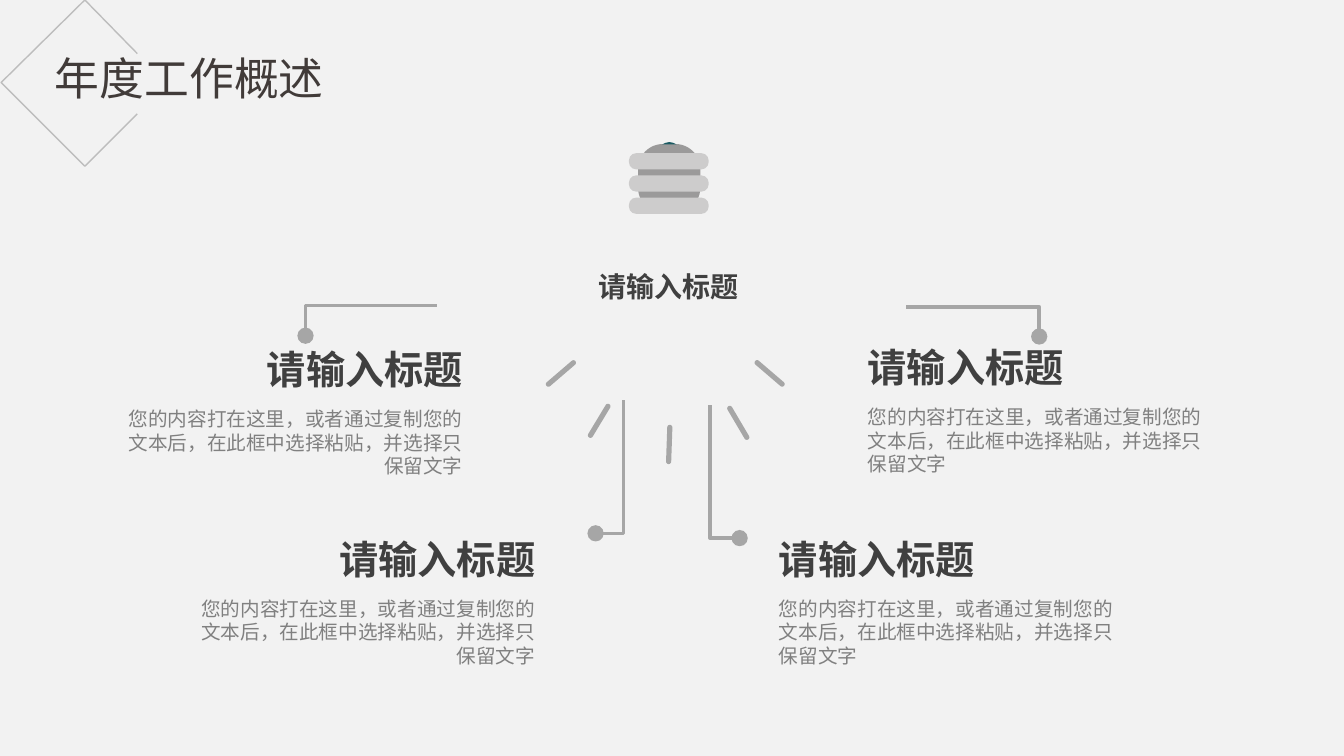
import math

from lxml import etree
from pptx import Presentation
from pptx.dml.color import RGBColor
from pptx.enum.shapes import MSO_SHAPE
from pptx.enum.text import MSO_ANCHOR, MSO_AUTO_SIZE, PP_ALIGN
from pptx.oxml.ns import qn
from pptx.util import Cm, Pt

ROUNDED = MSO_SHAPE.ROUNDED_RECTANGLE
OVAL = MSO_SHAPE.OVAL
LEFT, CENTER, RIGHT = PP_ALIGN.LEFT, PP_ALIGN.CENTER, PP_ALIGN.RIGHT
TOP = MSO_ANCHOR.TOP
FIXED = MSO_AUTO_SIZE.NONE

TITLE_ONLY = 5
HEADING_FONT = "Noto Sans CJK SC"
BODY_FONT = "Calibri"
PAPER, DARK, GRAY, ACCENT = "F2F2F2", "404040", "808080", "A6A6A6"
HEADING = "请输入标题"
BODY = "您的内容打在这里，或者通过复制您的文本后，在此框中选择粘贴，并选择只保留文字"

# Box left and top, alignment, then dot, corner and end relative to the box
CALLOUTS = [
    (2.51, 8.71, RIGHT, [(5.19, -0.25), (5.19, -1.01), (8.51, -1.01)]),
    (21.62, 8.66, LEFT, [(4.57, -0.18), (4.57, -0.93), (1.21, -0.93)]),
    (4.34, 13.49, RIGHT, [(10.67, -0.05), (11.37, -0.05), (11.37, -3.41)]),
    (19.38, 13.49, LEFT, [(-0.74, 0.07), (-1.49, 0.07), (-1.49, -3.28)]),
]
# Start and end of each ray, relative to the box of the rays
RAYS = [
    (4.57, 1.15, 5.00, 1.88),
    (1.50, 1.10, 1.06, 1.83),
    (0.63, 0.00, 0.00, 0.54),
    (5.26, 0.00, 5.89, 0.54),
    (3.06, 1.63, 3.03, 2.49),
]


def color(hex_text):
    return RGBColor.from_string(hex_text)


def write_text(box, text, size, font=HEADING_FONT, fill=DARK, bold=False,
               align=LEFT, wrap=True, spacing=None):
    frame = box.text_frame
    frame.word_wrap = wrap
    frame.auto_size = FIXED
    frame.vertical_anchor = TOP
    frame.margin_left = frame.margin_right = Cm(0.25)
    frame.margin_top = frame.margin_bottom = Cm(0.13)
    para = frame.paragraphs[0]
    para.alignment = align
    para.line_spacing = spacing
    span = para.add_run()
    span.text = text
    span.font.name = font
    span.font.size = Pt(size)
    span.font.bold = bold
    span.font.color.rgb = color(fill)
    east_asian = etree.Element(qn("a:ea"), typeface=font)
    span.font._element.find(qn("a:latin")).addnext(east_asian)


def add_text(page, left, top, width, height, text, size, **formats):
    box = page.shapes.add_textbox(Cm(left), Cm(top), Cm(width), Cm(height))
    write_text(box, text, size, **formats)


def add_solid(page, kind, left, top, width, height, fill, corner=None):
    shape = page.shapes.add_shape(kind, Cm(left), Cm(top), Cm(width), Cm(height))
    shape.shadow.inherit = False
    shape.fill.solid()
    shape.fill.fore_color.rgb = color(fill)
    shape.line.fill.background()
    if corner is not None:
        shape.adjustments[0] = corner
    return shape


def add_outline(page, left, top, points, close=False):
    """Freeform through points given relative to left and top."""
    places = [(Cm(left + x), Cm(top + y)) for x, y in points]
    builder = page.shapes.build_freeform(*places[0])
    builder.add_line_segments(places[1:], close=close)
    shape = builder.convert_to_shape()
    shape.shadow.inherit = False
    return shape


def add_polyline(page, left, top, points, stroke, width):
    shape = add_outline(page, left, top, points)
    shape.fill.background()
    shape.line.color.rgb = color(stroke)
    shape.line.width = Pt(width)
    return shape


def add_jar(page, left, top):
    add_solid(page, ROUNDED, left + 0.23, top + 0.05, 1.57, 1.73, "9B9A9A", 0.4)
    for row in range(3):
        add_solid(page, ROUNDED, left, top + 0.28 + 0.56 * row, 2.01, 0.41,
                  "CDCCCC", 0.45)
    tip = add_outline(page, left + 0.84, top,
                      [(0, 0.06), (0.08, 0.02), (0.18, 0), (0.28, 0.02), (0.36, 0.06)],
                      close=True)
    tip.fill.solid()
    tip.fill.fore_color.rgb = color("1A5A62")
    tip.line.fill.background()


def add_rays(page, left, top, thickness=0.13):
    for x1, y1, x2, y2 in RAYS:
        length = math.hypot(x2 - x1, y2 - y1) + thickness
        ray = add_solid(page, ROUNDED,
                        left + (x1 + x2 - length) / 2,
                        top + (y1 + y2 - thickness) / 2,
                        length, thickness, ACCENT, 0.5)
        ray.rotation = math.degrees(math.atan2(y2 - y1, x2 - x1))


def add_callout(page, left, top, align, elbow, dot=0.41):
    """Heading and body text with an elbow line that starts at a dot."""
    add_polyline(page, left, top, elbow, ACCENT, 2.6)
    dot_x, dot_y = elbow[0]
    add_solid(page, OVAL, left + dot_x - dot / 2, top + dot_y - dot / 2,
              dot, dot, ACCENT)
    body_width, heading_width = 9.4, 5.51
    indent = body_width - heading_width if align == RIGHT else 0
    add_text(page, left + indent, top, heading_width, 1.45, HEADING, 28,
             bold=True, align=align, wrap=False, spacing=0.9)
    add_text(page, left, top + 1.42, body_width, 2.06, BODY, 14,
             font=BODY_FONT, fill=GRAY, align=align)


def add_title(page, left, top):
    title = page.shapes.title
    title.left, title.top = Cm(left), Cm(top)
    title.width, title.height = Cm(7.67), Cm(1.63)
    write_text(title, "年度工作概述", 32, fill="413B39", align=CENTER, spacing=0.9)


def add_diamond(page, left, top):
    diamond = add_polyline(
        page, left, top,
        [(3.43, 1.35), (2.11, 0), (0, 2.08), (2.11, 4.19), (3.43, 2.87)], GRAY, 1)
    stroke = diamond.line.fill._xPr.find(qn("a:solidFill"))[0]
    etree.SubElement(stroke, qn("a:alpha"), val="45000")


def main():
    deck = Presentation()
    deck.slide_width, deck.slide_height = Cm(33.87), Cm(19.05)
    page = deck.slides.add_slide(deck.slide_layouts[TITLE_ONLY])
    page.background.fill.solid()
    page.background.fill.fore_color.rgb = color(PAPER)
    add_title(page, 0.94, 1.3)
    add_diamond(page, 0.03, 0)
    add_jar(page, 15.85, 3.58)
    add_text(page, 14.81, 6.76, 4.06, 1.12, HEADING, 20,
             bold=True, align=CENTER, wrap=False, spacing=0.9)
    add_rays(page, 13.82, 9.14)
    for callout in CALLOUTS:
        add_callout(page, *callout)
    deck.save("out.pptx")


if __name__ == "__main__":
    main()
